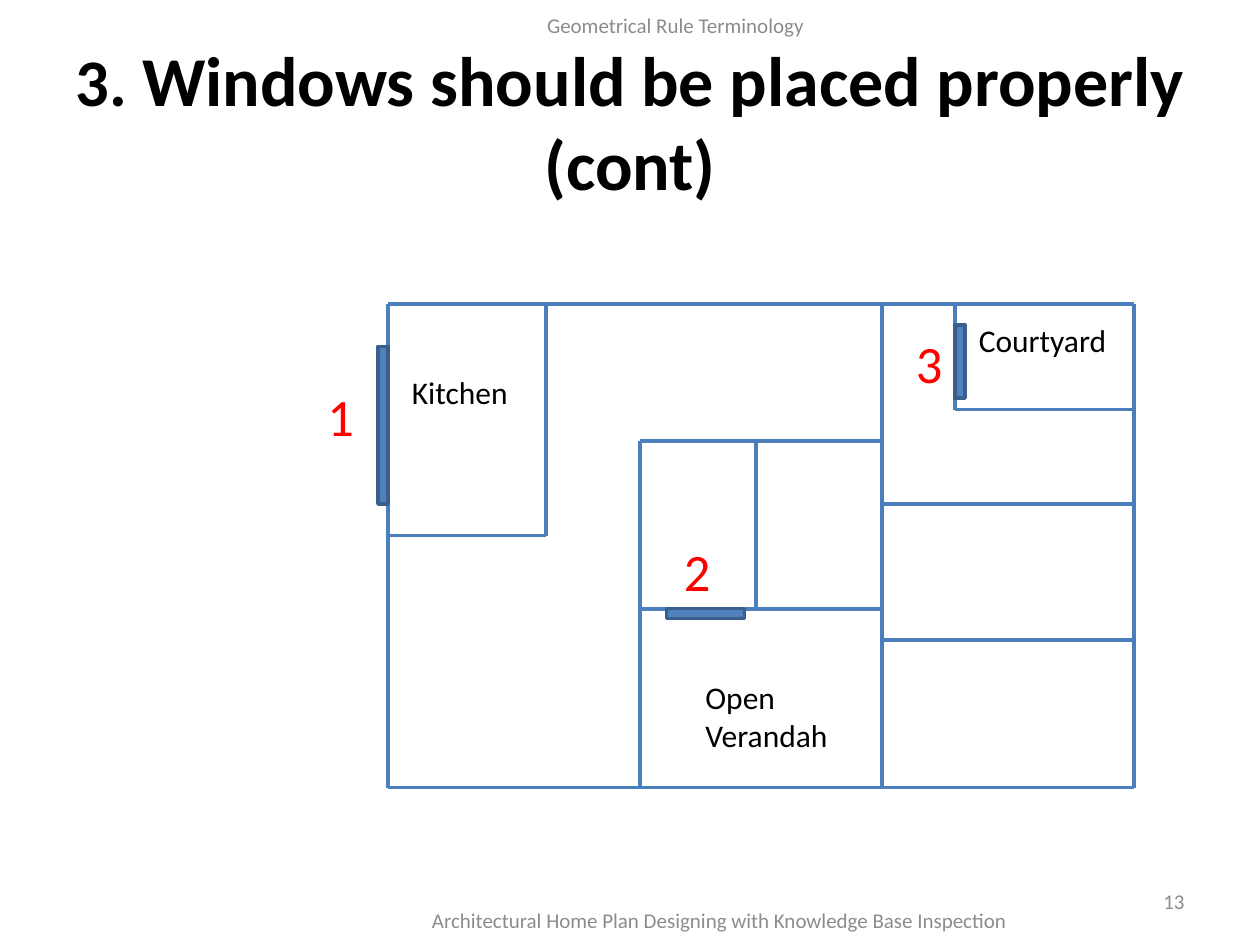
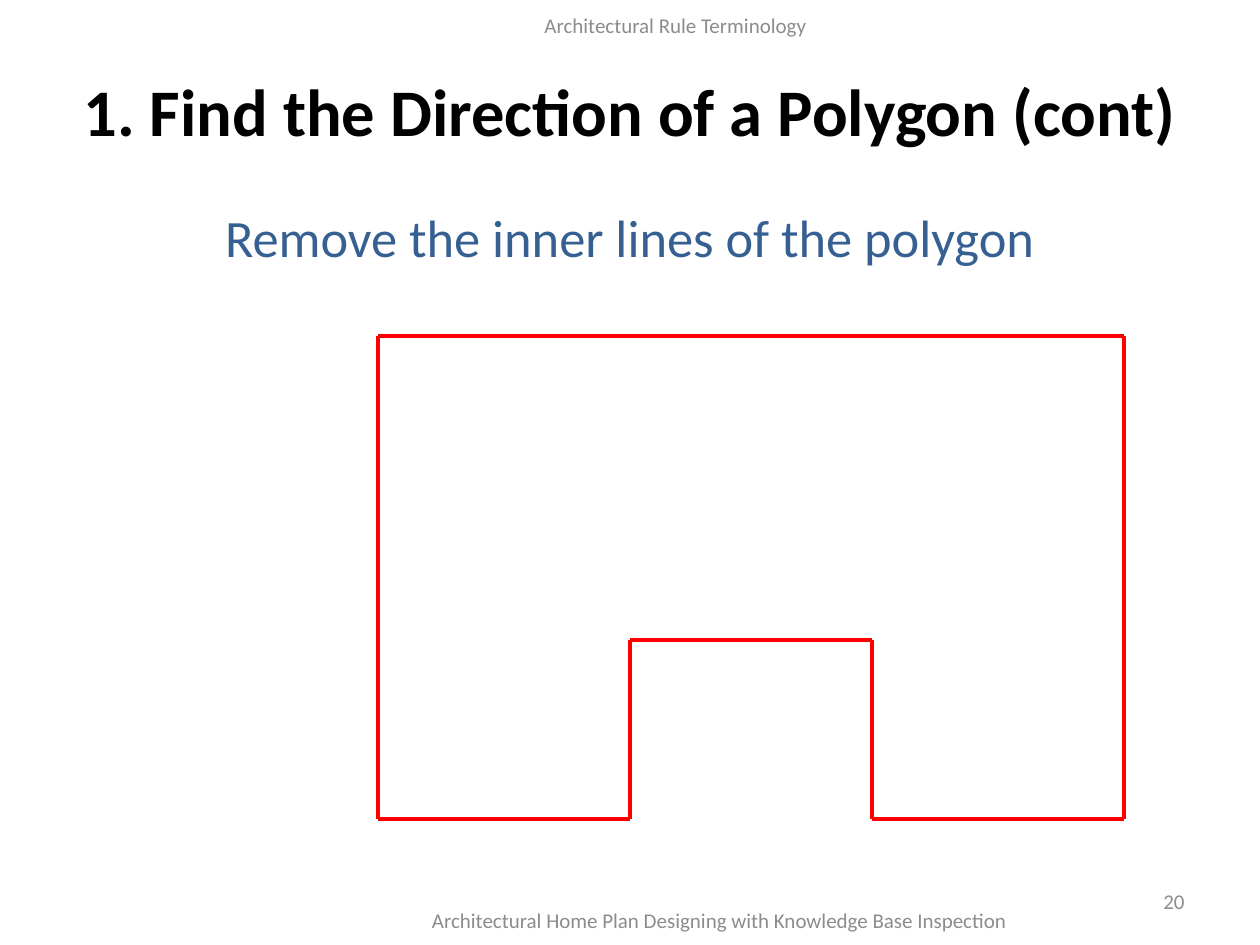
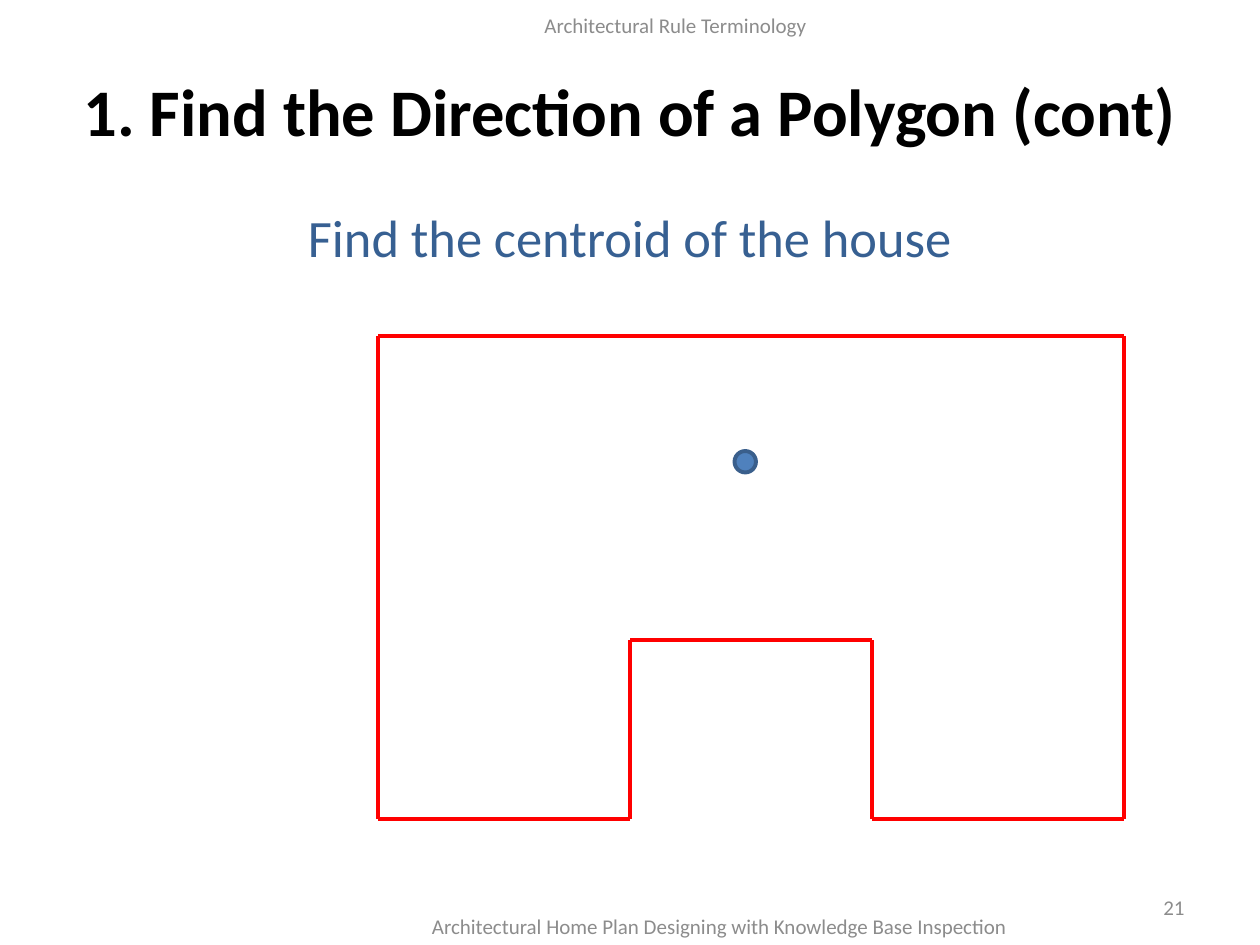
"""Build three slides on rules for checking architectural home plans."""
import lxml.etree
import pptx
import pptx.dml.color
import pptx.enum.shapes
import pptx.enum.text
import pptx.oxml.ns
import pptx.util

Inches = pptx.util.Inches
Pt = pptx.util.Pt
ALIGN = pptx.enum.text.PP_ALIGN
ANCHOR = pptx.enum.text.MSO_ANCHOR
SHAPE = pptx.enum.shapes.MSO_SHAPE

COLORS = {
    "background": "FFFFFF",
    "title": "000000",
    "subtitle": "376092",
    "muted": "8C8C8C",
    "wall": "4B7EBC",
    "window": "4F81BD",
    "window_edge": "3A5F8C",
    "highlight": "FF0000",
}
FONT = "Calibri"
PROJECT = "Architectural Home Plan Designing with Knowledge Base Inspection"


def rgb(color):
    """Return the named colour."""
    return pptx.dml.color.RGBColor.from_string(COLORS[color])


class Deck:
    """Hold the shared style and the current slide."""

    def __init__(self):
        """Start an empty 10 by 7.5 inch presentation."""
        self.presentation = pptx.Presentation()
        self.presentation.slide_width = Inches(10)
        self.presentation.slide_height = Inches(7.5)
        self.slide = None

    def start(self, topic, number, footer_top=7.1):
        """Add a slide with its running header, footer and number."""
        self.slide = self.presentation.slides.add_slide(self.presentation.slide_layouts[6])
        background = self.slide.background.fill
        background.solid()
        background.fore_color.rgb = rgb("background")
        small = {"color": "muted", "anchor": ANCHOR.MIDDLE}
        self.text((7.17, footer_top - 0.15, 2.33, 0.4), [(str(number), 12)],
                  align=ALIGN.RIGHT, **small)
        self.text((2.5, footer_top, 6.42, 0.4), [(PROJECT, 12)], align=ALIGN.CENTER, **small)
        self.text((2.17, 0, 6.42, 0.4), [(topic, 12)], align=ALIGN.CENTER, **small)

    def text(self, box, runs, color="title", bold=False, align=ALIGN.LEFT, anchor=ANCHOR.TOP):
        """Place one paragraph made of (wording, size) runs."""
        frame = self.slide.shapes.add_textbox(*map(Inches, box)).text_frame
        frame.word_wrap = True
        frame.vertical_anchor = anchor
        paragraph = frame.paragraphs[0]
        paragraph.alignment = align
        for wording, size in runs:
            run = paragraph.add_run()
            run.text = wording
            run.font.name = FONT
            run.font.size = Pt(size)
            run.font.bold = bold
            run.font.color.rgb = rgb(color)

    def heading(self, top, runs, color="title", bold=True):
        """Place a centred heading across the slide."""
        self.text((0.5, top, 9, 1.25), runs, color, bold, ALIGN.CENTER, ANCHOR.MIDDLE)

    def wall(self, start, end, color="wall"):
        """Draw a straight wall between two points."""
        wall = self.slide.shapes.add_connector(
            pptx.enum.shapes.MSO_CONNECTOR.STRAIGHT, *map(Inches, start + end))
        wall.line.color.rgb = rgb(color)
        wall.line.width = Pt(2.25)
        lxml.etree.SubElement(wall.element.spPr, pptx.oxml.ns.qn("a:effectLst"))

    def marker(self, box, kind=SHAPE.RECTANGLE, edge=2, rotation=0):
        """Draw a filled window or point."""
        marker = self.slide.shapes.add_shape(kind, *map(Inches, box))
        marker.shadow.inherit = False
        marker.rotation = rotation
        marker.fill.solid()
        marker.fill.fore_color.rgb = rgb("window")
        marker.line.color.rgb = rgb("window_edge")
        marker.line.width = Pt(edge)

    def outline(self, corners):
        """Draw the closed outer walls of the house."""
        for start, end in zip(corners, corners[1:] + corners[:1]):
            self.wall(start, end, "highlight")


HOUSE = [(3, 2.67), (8.92, 2.67), (8.92, 6.5), (6.92, 6.5),
         (6.92, 5.08), (5, 5.08), (5, 6.5), (3, 6.5)]


def windows_slide(deck):
    """Show the floor plan with three numbered windows."""
    deck.start("Geometrical Rule Terminology ", 13)
    deck.heading(0.33, [("3. ", 38), ("Windows should be placed properly (cont)", 40)])
    left, right, top, bottom = 3.08, 9, 2.41, 6.25
    horizontal = [(top, left, right), (bottom, left, 5.08), (bottom, 5.08, 7),
                  (bottom, 7, right), (4.25, left, 4.33), (3.5, 5.08, 7), (4.83, 5.08, 7),
                  (3.25, 7.58, right), (4, 7, right), (5.08, 7, right)]
    vertical = [(left, top, bottom), (4.33, top, 4.25), (5.08, 3.5, bottom), (6, 3.5, 4.83),
                (7, top, bottom), (7.58, top, 3.25), (right, top, bottom)]
    for y, start, end in horizontal:
        deck.wall((start, y), (end, y))
    for x, start, end in vertical:
        deck.wall((x, start), (x, end))
    deck.marker((3, 2.75, 0.08, 1.25))
    deck.marker((5.56, 4.56, 0.08, 0.62), rotation=90)
    deck.marker((7.58, 2.58, 0.08, 0.58))
    rooms = [("Kitchen", (3.17, 2.91, 1.08, 0.4)),
             ("Open Verandah", (5.5, 5.33, 1.25, 0.71)),
             ("Courtyard", (7.67, 2.5, 1.25, 0.4))]
    for room, box in rooms:
        deck.text(box, [(room, 18)])
    for number, (x, y) in enumerate([(2.5, 3), (5.33, 4.23), (7.17, 2.58)], 1):
        deck.text((x, y, 0.42, 0.61), [(str(number), 30)], "highlight")


def polygon_slide(deck, number, step, footer_top=7.1):
    """Show one step of finding the direction of the house polygon."""
    deck.start("Architectural Rule Terminology ", number, footer_top)
    deck.heading(0.25, [("1. Find the Direction of a Polygon (cont)", 38)])
    deck.heading(1.25, [(step, 30)], "subtitle", bold=False)
    deck.outline(HOUSE)


def main():
    """Build and save the slides."""
    deck = Deck()
    windows_slide(deck)
    polygon_slide(deck, 20, "Remove the inner lines of the polygon")
    polygon_slide(deck, 21, "Find the centroid of the house", footer_top=7.15)
    deck.marker((5.83, 3.58, 0.17, 0.17), SHAPE.FLOWCHART_CONNECTOR, edge=2.25)
    deck.presentation.save("out.pptx")


if __name__ == "__main__":
    main()
